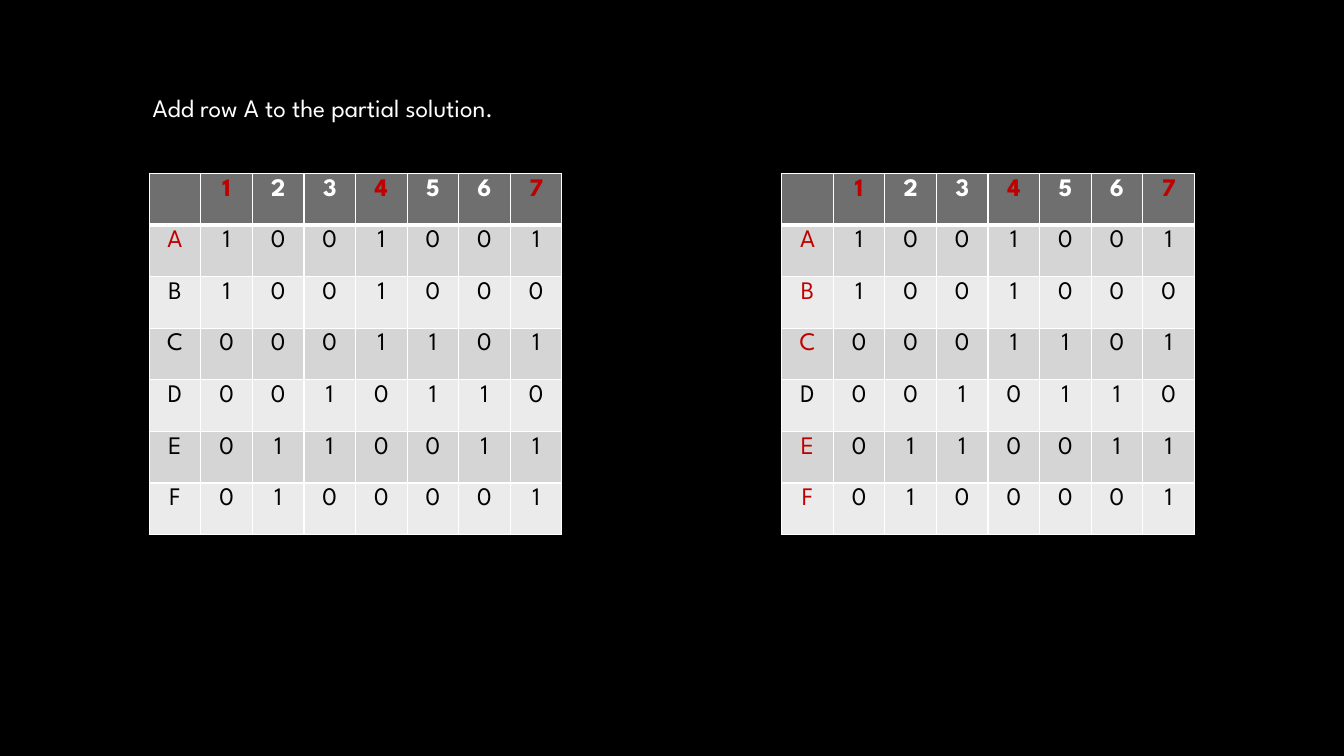
from dataclasses import dataclass

from lxml import etree
from pptx import Presentation, util as u
from pptx.dml.color import RGBColor
from pptx.enum import text
from pptx.oxml import ns


@dataclass(frozen=True)
class Theme:
    font: str = "League Spartan"
    size: int = 18
    background: str = "000000"
    light: str = "FFFFFF"
    dark: str = "000000"
    marked: str = "C00000"
    header: str = "6F6F6F"
    bands: tuple = ("D5D5D5", "EBEBEB")
    line: float = 1
    header_line: float = 3


THEME = Theme()
CELL = 1.3  # side of a matrix cell, cm

MATRIX = {
    "A": "1001001",
    "B": "1001000",
    "C": "0001101",
    "D": "0010110",
    "E": "0110011",
    "F": "0100001",
}
COLUMNS = "1234567"
MARKED_COLUMNS = "147"


def write(tf, content, color=THEME.light, bold=False, align=text.PP_ALIGN.LEFT):
    p = tf.paragraphs[0]
    p.alignment = align
    r = p.add_run()
    r.text = content
    r.font.name = THEME.font
    r.font.size = u.Pt(THEME.size)
    r.font.bold = bold
    r.font.color.rgb = RGBColor.from_string(color)


def set_borders(cell, top, bottom):
    tcPr = cell._tc.get_or_add_tcPr()
    widths = {"lnL": THEME.line, "lnR": THEME.line, "lnT": top, "lnB": bottom}
    for side, width in widths.items():
        ln = etree.SubElement(tcPr, ns.qn(f"a:{side}"), w=str(u.Pt(width)))
        fill = etree.SubElement(ln, ns.qn("a:solidFill"))
        etree.SubElement(fill, ns.qn("a:srgbClr"), val=THEME.light)


def add_caption(s, content, left, top, width, height):
    tf = s.shapes.add_textbox(u.Cm(left), u.Cm(top), u.Cm(width), u.Cm(height)).text_frame
    tf.word_wrap = True
    tf.auto_size = text.MSO_AUTO_SIZE.SHAPE_TO_FIT_TEXT
    write(tf, content)


def add_matrix(s, left, top, marked_rows):
    rows = [" " + COLUMNS] + [name + bits for name, bits in MATRIX.items()]
    n_rows, n_cols = len(rows), len(rows[0])
    table = s.shapes.add_table(n_rows, n_cols, u.Cm(left), u.Cm(top),
                               u.Cm(CELL * n_cols), u.Cm(CELL * n_rows)).table
    for line in (*table.columns, ):
        line.width = u.Cm(CELL)
    for line in table.rows:
        line.height = u.Cm(CELL)

    for i, row in enumerate(rows):
        is_header = i == 0
        for j, value in enumerate(row):
            cell = table.cell(i, j)
            # Borders come before the fill in the cell properties
            set_borders(cell,
                        top=THEME.header_line if i == 1 else THEME.line,
                        bottom=THEME.header_line if is_header else THEME.line)
            cell.fill.solid()
            cell.fill.fore_color.rgb = RGBColor.from_string(
                THEME.header if is_header else THEME.bands[(i - 1) % 2])
            if not value.strip():
                continue
            marked = value in MARKED_COLUMNS if is_header else j == 0 and value in marked_rows
            plain = THEME.light if is_header else THEME.dark
            write(cell.text_frame, value, color=THEME.marked if marked else plain,
                  bold=is_header, align=text.PP_ALIGN.CENTER)


def main():
    prs = Presentation()
    prs.slide_width, prs.slide_height = u.Cm(33.87), u.Cm(19.05)
    s = prs.slides.add_slide(prs.slide_layouts[6])
    s.background.fill.solid()
    s.background.fill.fore_color.rgb = RGBColor.from_string(THEME.background)

    # Matrix before and after the rows that clash with A are marked
    add_matrix(s, 3.76, 4.37, marked_rows="A")
    add_matrix(s, 19.7, 4.37, marked_rows="ABCEF")

    # Step description
    add_caption(s, "Add row A to the partial solution.", 3.6, 2.19, 10.75, 1.03)

    prs.save("out.pptx")


if __name__ == "__main__":
    main()
